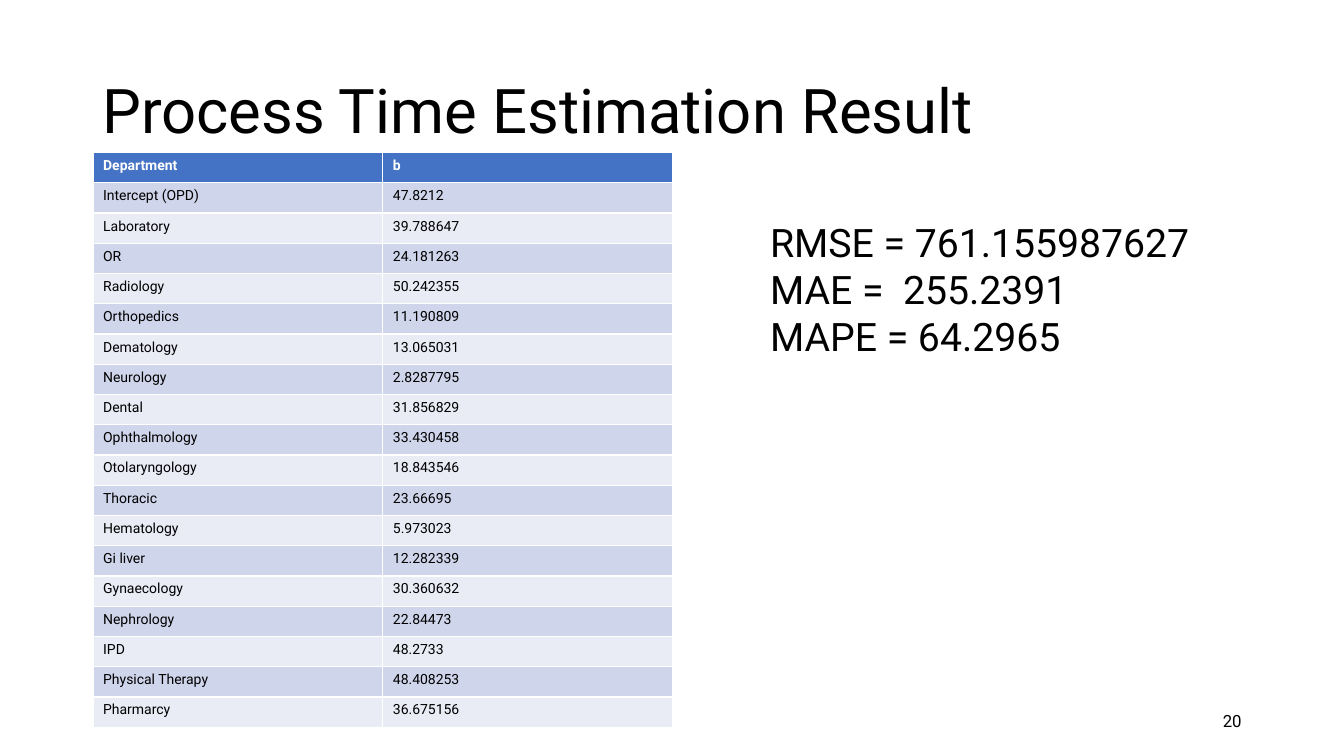
from pptx import Presentation
from pptx.dml.color import RGBColor
from pptx.enum.text import MSO_ANCHOR, PP_ALIGN
from pptx.util import Pt

TOP, MIDDLE = MSO_ANCHOR.TOP, MSO_ANCHOR.MIDDLE
LEFT, RIGHT = PP_ALIGN.LEFT, PP_ALIGN.RIGHT

COLORS = {
    "text": "000000",
    "header_text": "FFFFFF",
    "header": "4472C4",
    "odd_row": "CFD5EA",
    "even_row": "E9EBF5",
}
FONT = "Roboto"

COEFFICIENTS = [
    ("Department", "b"),
    ("Intercept (OPD)", "47.8212"),
    ("Laboratory", "39.788647"),
    ("OR", "24.181263"),
    ("Radiology", "50.242355"),
    ("Orthopedics", "11.190809"),
    ("Dematology", "13.065031"),
    ("Neurology", "2.8287795"),
    ("Dental", "31.856829"),
    ("Ophthalmology", "33.430458"),
    ("Otolaryngology", "18.843546"),
    ("Thoracic", "23.66695"),
    ("Hematology", "5.973023"),
    ("Gi liver", "12.282339"),
    ("Gynaecology", "30.360632"),
    ("Nephrology", "22.84473"),
    ("IPD", "48.2733"),
    ("Physical Therapy", "48.408253"),
    ("Pharmarcy", "36.675156"),
]
ERRORS = ["RMSE = 761.155987627", "MAE =  255.2391", "MAPE = 64.2965"]


def style_font(font, size, color, bold=False):
    font.name, font.size, font.bold = FONT, Pt(size), bold
    font.color.rgb = RGBColor.from_string(COLORS[color])


def add_text(box, lines, size, anchor=TOP, align=LEFT, spacing=1.0):
    """Add a text box at (left, top, width, height) with one paragraph per line."""
    frame = slide.shapes.add_textbox(*map(Pt, box)).text_frame
    frame.word_wrap = True
    frame.vertical_anchor = anchor
    frame.text = "\n".join(lines)
    for paragraph in frame.paragraphs:
        paragraph.alignment = align
        paragraph.line_spacing = spacing
        style_font(paragraph.runs[0].font, size, "text")


prs = Presentation()
prs.slide_width, prs.slide_height = Pt(960), Pt(540)
slide = prs.slides.add_slide(prs.slide_layouts[6])

add_text((66, 28.75, 828, 104.4), ["Process Time Estimation Result"], 44,
         anchor=MIDDLE, spacing=0.9)

ROW_HEIGHT = 21.6
coefficients = slide.shapes.add_table(
    len(COEFFICIENTS), 2, Pt(66.5), Pt(109), Pt(414),
    Pt(ROW_HEIGHT * len(COEFFICIENTS))).table
for row, values in enumerate(COEFFICIENTS):
    coefficients.rows[row].height = Pt(ROW_HEIGHT)
    is_header = row == 0
    fill = "header" if is_header else "odd_row" if row % 2 else "even_row"
    for column, value in enumerate(values):
        cell = coefficients.cell(row, column)
        cell.text = value
        cell.fill.solid()
        cell.fill.fore_color.rgb = RGBColor.from_string(COLORS[fill])
        style_font(cell.text_frame.paragraphs[0].runs[0].font, 10,
                   "header_text" if is_header else "text", is_header)

add_text((678, 500.5, 216, 28.75), ["20"], 12, anchor=MIDDLE, align=RIGHT)
add_text((543, 152.6, 332.6, 108.7), ERRORS, 28)

prs.save("out.pptx")
